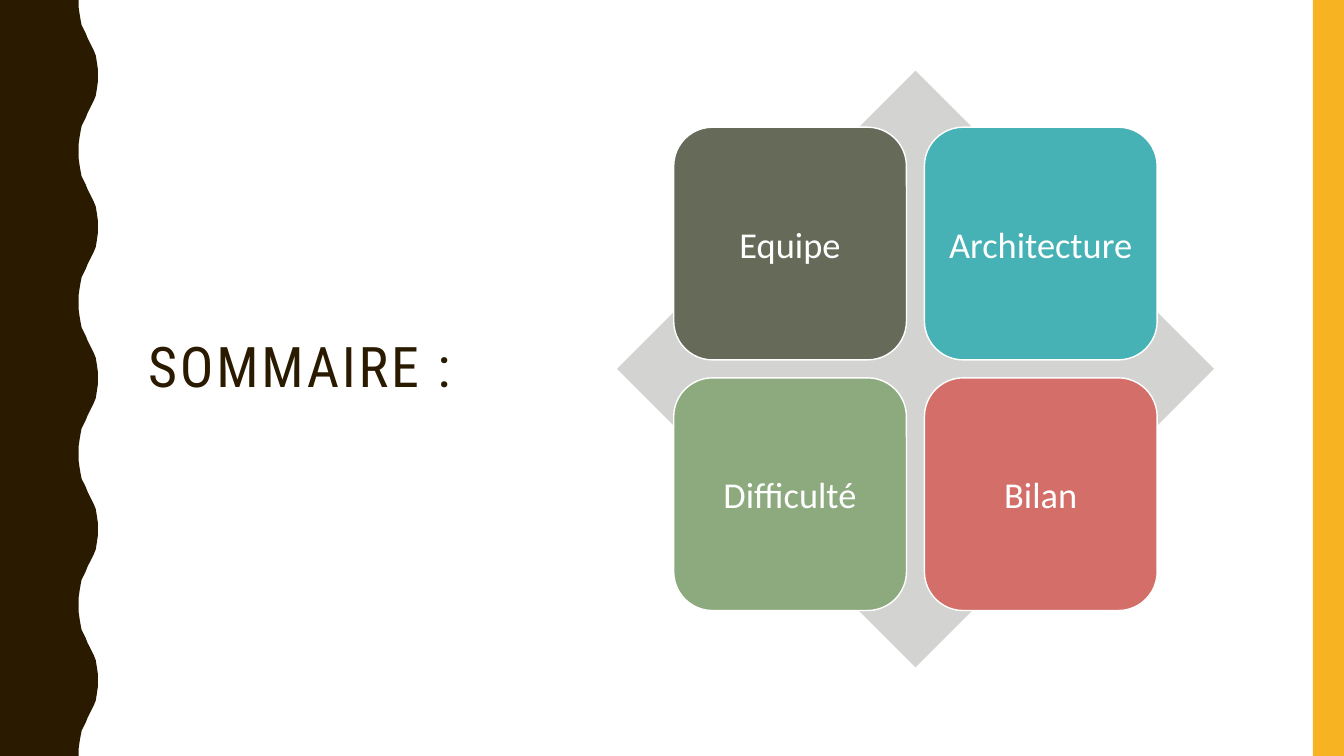
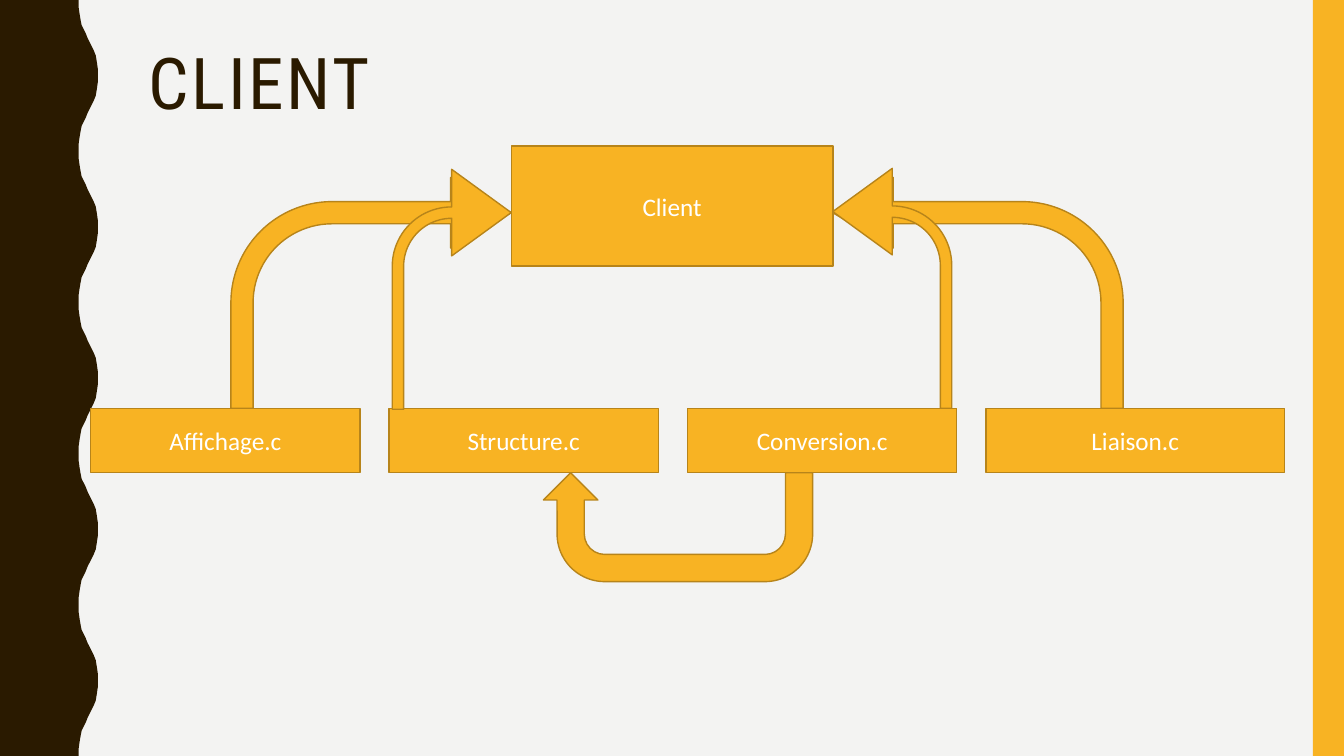
"""Build a summary slide and a client architecture slide with a shared wavy frame."""
from pptx import Presentation
from pptx.dml.color import RGBColor
from pptx.enum.shapes import MSO_SHAPE
from pptx.enum.text import MSO_ANCHOR, MSO_AUTO_SIZE, PP_ALIGN
from pptx.util import Inches, Pt

WIDTH, HEIGHT = 13.33, 7.5
BROWN, GOLD, DARK_GOLD, WHITE = "2A1A00", "F8B323", "B7841A", "FFFFFF"


def tint(fill, color):
    fill.solid()
    fill.fore_color.rgb = RGBColor.from_string(color)


def write(shape, text, color, font_format, para_format, frame_format):
    frame = shape.text_frame
    frame.text = text
    para = frame.paragraphs[0]
    span = para.runs[0]
    tint(span.font.fill, color)
    for target, values in ((span.font, font_format), (para, para_format), (frame, frame_format)):
        for name, value in values.items():
            setattr(target, name, value)
    return span


deck = Presentation()
deck.slide_width, deck.slide_height = Inches(WIDTH), Inches(HEIGHT)
title_only = deck.slide_layouts[5]

titles = [
    ("SOMMAIRE :", WHITE, (1.37, 0.7, 3.7, 5.92), 40, MSO_ANCHOR.MIDDLE),
    ("CLIENT", "F3F3F2", (1.37, 0.42, 11.13, 1.63), 51, MSO_ANCHOR.TOP),
]
for text, background, place, size, anchor in titles:
    page = deck.slides.add_slide(title_only)
    tint(page.background.fill, background)
    title = page.shapes.title
    title.left, title.top, title.width, title.height = map(Inches, place)
    span = write(
        title, text, BROWN,
        {"name": "Roboto Condensed", "size": Pt(size)},
        {"alignment": PP_ALIGN.LEFT, "line_spacing": 0.9},
        {"auto_size": MSO_AUTO_SIZE.NONE, "word_wrap": True, "vertical_anchor": anchor},
    )
    span.font._element.set("spc", "200")
summary, client = deck.slides

wave_count = 5
period = HEIGHT / wave_count
half_wave = [
    (0.78, 0), (0.78, 0.07), (0.79, 0.14), (0.8, 0.2), (0.81, 0.25),
    (0.83, 0.29), (0.85, 0.33), (0.87, 0.38), (0.89, 0.42), (0.91, 0.46),
    (0.93, 0.5), (0.95, 0.55), (0.96, 0.61), (0.97, 0.68), (0.97, 0.75),
]
outline = []
for wave in range(wave_count):
    outline += [(x, wave * period + y) for x, y in half_wave]
    outline += [(x, (wave + 1) * period - y) for x, y in reversed(half_wave)]
outline.append((0, HEIGHT))
builder = summary.shapes.build_freeform(0, 0)
builder.add_line_segments([(Inches(x), Inches(y)) for x, y in outline], close=True)
wavy_band = builder.convert_to_shape()
edge_band = summary.shapes.add_shape(
    MSO_SHAPE.RECTANGLE, Inches(13.02), 0, Inches(0.31), Inches(HEIGHT))
master_tree = deck.slide_master.shapes._spTree
for position, (band, color) in enumerate(((wavy_band, BROWN), (edge_band, GOLD)), 2):
    tint(band.fill, color)
    band.line.fill.background()
    band.shadow.inherit = False
    master_tree.insert(position, band._element)

side, diamond_left, diamond_top = 5.92, 6.12, 0.7
diamond_place = (diamond_left, diamond_top, side, side)
blocks = [(summary, MSO_SHAPE.DIAMOND, diamond_place, "D3D4D1", None, "", 0)]
cards = [("Equipe", "656A59"), ("Architecture", "46B2B5"),
         ("Difficulté", "8CAA7E"), ("Bilan", "D36F68")]
for index, (text, color) in enumerate(cards):
    row, column = divmod(index, 2)
    place = (diamond_left + side * (0.095 + 0.42 * column),
             diamond_top + side * (0.095 + 0.42 * row), side * 0.39, side * 0.39)
    blocks.append((summary, MSO_SHAPE.ROUNDED_RECTANGLE, place, color, WHITE, text, 26))

client_left, client_right = 5.07, 8.26
client_place = (client_left, 1.45, client_right - client_left, 1.19)
blocks.append((client, MSO_SHAPE.RECTANGLE, client_place, GOLD, DARK_GOLD, "Client", 18))
pitch, files_top, files_height = 2.96, 4.05, 0.64
for column, text in enumerate(("Affichage.c", "Structure.c", "Conversion.c", "Liaison.c")):
    width = pitch if text == "Liaison.c" else 2.67
    place = (0.9 + pitch * column, files_top, width, files_height)
    blocks.append((client, MSO_SHAPE.RECTANGLE, place, GOLD, DARK_GOLD, text, 18))

for page, kind, place, color, border, text, size in blocks:
    box = page.shapes.add_shape(kind, *map(Inches, place))
    box.shadow.inherit = False
    tint(box.fill, color)
    if border:
        tint(box.line.fill, border)
        box.line.width = Pt(1)
    else:
        box.line.fill.background()
    if text:
        write(
            box, text, WHITE,
            {"name": "Calibri", "size": Pt(size)},
            {"alignment": PP_ALIGN.CENTER},
            {"word_wrap": True, "vertical_anchor": MSO_ANCHOR.MIDDLE},
        )

wide_bend, narrow_bend = (0.096, 0.153, 0.262, 0.438), (0.096, 0.364, 0.5, 0.5)
arrows = [
    (MSO_SHAPE.BENT_ARROW, (client_left - 2.78, 1.76, 2.78, 2.29), wide_bend, False, 0),
    (MSO_SHAPE.BENT_ARROW, (client_left - 1.18, 1.68, 1.18, 2.38), narrow_bend, False, 0),
    (MSO_SHAPE.BENT_ARROW, (client_right, 1.76, 2.88, 2.29), wide_bend, True, 0),
    (MSO_SHAPE.BENT_ARROW, (client_right, 1.67, 1.18, 2.38), narrow_bend, True, 0),
    (MSO_SHAPE.U_TURN_ARROW, (5.39, files_top + files_height, 2.67, 1.08),
     (0.25, 0.25, 0.25, 0.438, 1), False, 180),
]
for kind, place, bends, mirrored, rotation in arrows:
    arrow = client.shapes.add_shape(kind, *map(Inches, place))
    arrow.shadow.inherit = False
    tint(arrow.fill, GOLD)
    tint(arrow.line.fill, DARK_GOLD)
    arrow.line.width = Pt(1)
    arrow.rotation = rotation
    for index, bend in enumerate(bends):
        arrow.adjustments[index] = bend
    if mirrored:
        arrow._element.spPr.get_or_add_xfrm().set("flipH", "1")

deck.save("out.pptx")
